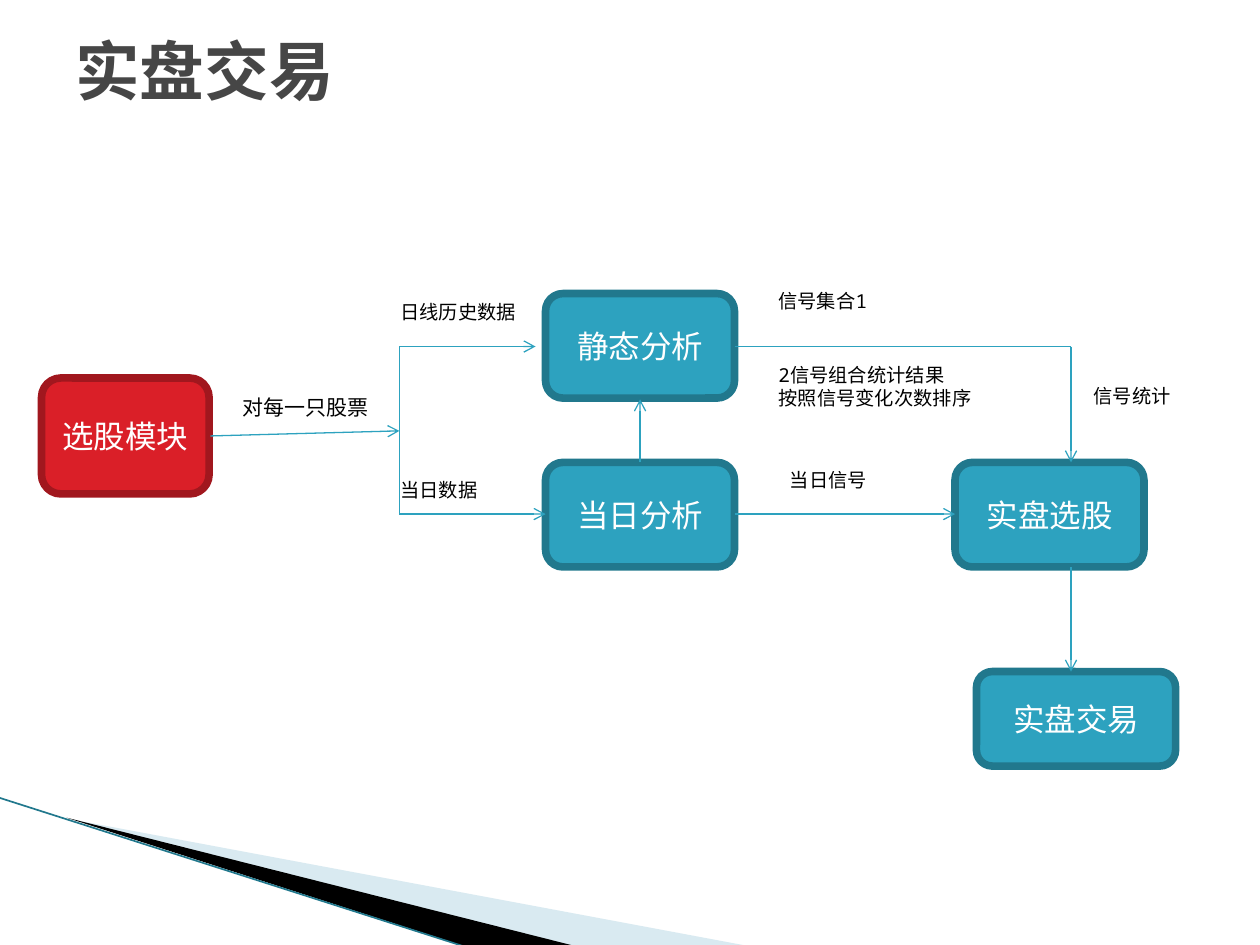
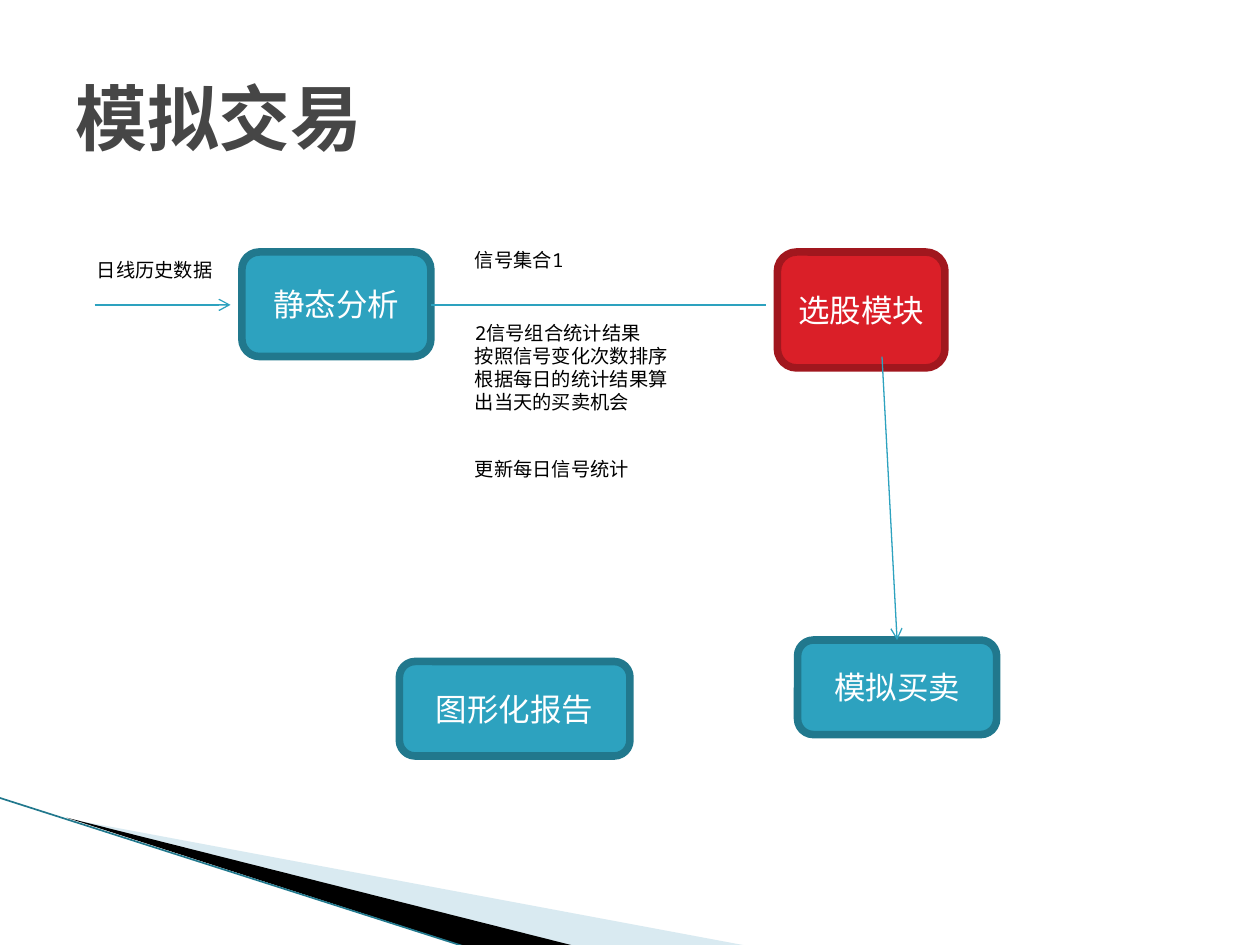
from lxml.etree import SubElement
from pptx import Presentation
from pptx.dml.color import RGBColor
from pptx.enum.shapes import MSO_CONNECTOR, MSO_SHAPE
from pptx.enum.text import MSO_ANCHOR, PP_ALIGN
from pptx.oxml.ns import qn
from pptx.util import Inches, Pt

FONT = "Noto Sans Mono"
HUES = {"teal": "2DA2BF", "rim": "21788D", "red": "DA1F28", "wine": "A1171E",
        "pale": "A0CBDC", "black": "000000", "white": "FFFFFF", "title": "464646"}
KINDS = {"step": ("teal", "rim"), "pick": ("red", "wine")}

# Bands at the foot of every slide: points, colour, opacity in percent
BANDS = [
    ([(0.55, 6.5), (5.95, 7.51), (4.56, 7.51)], "pale", 40),
    ([(0.53, 6.49), (4.57, 7.51), (3.72, 7.52)], "black", 100),
]
EDGE = (-0.01, 6.33, 3.71, 7.52)

# Boxes: text, kind, left, top, width, height
# Labels: lines, left, top, width, size
# Lines: x1, y1, x2, y2, arrow
SLIDES = [
    {
        "title": ("实盘交易", 0.62, 36.9, 0.8),
        "boxes": [
            ("静态分析", "step", 4.33, 2.33, 1.5, 0.83),
            ("当日分析", "step", 4.33, 3.67, 1.5, 0.83),
            ("选股模块", "pick", 0.33, 3, 1.33, 0.92),
            ("实盘选股", "step", 7.58, 3.67, 1.5, 0.83),
            ("实盘交易", "step", 7.75, 5.33, 1.58, 0.75),
        ],
        "labels": [
            (["日线历史数据"], 3.08, 2.33, 1.17, 11),
            (["信号集合1 "], 6.08, 2.25, 1.67, 11),
            (["2信号组合统计结果", "按照信号变化次数排序"], 6.08, 2.83, 1.75, 11),
            (["当日数据"], 3.08, 3.75, 1.17, 11),
            (["对每一只股票"], 1.83, 3.08, 1.25, 12),
            (["当日信号"], 6.17, 3.67, 1.25, 11),
            (["信号统计"], 8.58, 3, 1.08, 11),
        ],
        "lines": [
            (3.17, 2.75, 4.25, 2.75, True),
            (3.17, 4.08, 4.33, 4.08, True),
            (3.17, 2.75, 3.17, 4.08, False),
            (1.67, 3.46, 3.17, 3.42, True),
            (5.08, 3.67, 5.08, 3.17, True),
            (5.83, 2.75, 8.5, 2.75, False),
            (8.5, 2.75, 8.5, 3.67, True),
            (5.83, 4.08, 7.58, 4.08, True),
            (8.5, 4.5, 8.5, 5.33, True),
        ],
    },
    {
        "title": ("模拟交易", 1.25, 41, 1.0),
        "boxes": [
            ("静态分析", "step", 1.92, 2, 1.5, 0.83),
            ("选股模块", "pick", 6.17, 2, 1.33, 0.92),
            ("模拟买卖", "step", 6.33, 5.08, 1.58, 0.75),
            ("图形化报告", "step", 3.17, 5.25, 1.83, 0.75),
        ],
        "labels": [
            (["日线历史数据"], 0.67, 2, 1.17, 11),
            (["信号集合1 "], 3.67, 1.92, 1.67, 11),
            (["2信号组合统计结果", "按照信号变化次数排序",
              "根据每日的统计结果算出当天的买卖机会"], 3.67, 2.5, 1.75, 11),
            (["更新每日信号统计"], 3.67, 3.58, 1.58, 11),
        ],
        "lines": [
            (0.75, 2.42, 1.83, 2.42, True),
            (3.42, 2.42, 6.08, 2.42, False),
            (7, 2.83, 7.12, 5.08, True),
        ],
    },
]


def hue(name):
    return RGBColor.from_string(HUES[name])


def place(*nums):
    return [Inches(n) for n in nums]


def write(shape, lines, size, tint, bold=False, align=PP_ALIGN.LEFT, space=None):
    frame = shape.text_frame
    frame.word_wrap = True
    frame.text = "\n".join(lines)
    for para in frame.paragraphs:
        para.alignment = align
        para.line_spacing = space
        for run in para.runs:
            font = run.font
            font.name, font.size, font.bold = FONT, Pt(size), bold
            font.color.rgb = hue(tint)
            SubElement(run._r.get_or_add_rPr(), qn("a:ea"), typeface=FONT)
    return frame


def add_line(slide, ends, tint, width, arrow=False):
    line = slide.shapes.add_connector(MSO_CONNECTOR.STRAIGHT, *place(*ends))
    line.line.color.rgb = hue(tint)
    line.line.width = Pt(width)
    if arrow:
        SubElement(line.line._get_or_add_ln(), qn("a:tailEnd"), type="arrow")
    SubElement(line._element.spPr, qn("a:effectLst"))


def add_bands(slide):
    for points, tint, alpha in BANDS:
        first, *rest = [place(*point) for point in points]
        path = slide.shapes.build_freeform(*first)
        path.add_line_segments(rest, close=True)
        band = path.convert_to_shape()
        band.shadow.inherit = False
        band.fill.solid()
        band.fill.fore_color.rgb = hue(tint)
        band.line.fill.background()
        if alpha < 100:
            color = band._element.spPr.find(".//" + qn("a:srgbClr"))
            SubElement(color, qn("a:alpha"), val=str(alpha * 1000))
    add_line(slide, EDGE, "rim", 0.95)


def add_title(slide, text, height, size, space):
    box = slide.shapes.add_textbox(*place(0.5, 0.3, 9, height))
    frame = write(box, [text], size, "title", bold=True, space=space)
    frame.vertical_anchor = MSO_ANCHOR.MIDDLE


def add_box(slide, text, kind, *spot):
    box = slide.shapes.add_shape(MSO_SHAPE.ROUNDED_RECTANGLE, *place(*spot))
    fill, rim = KINDS[kind]
    box.shadow.inherit = False
    box.fill.solid()
    box.fill.fore_color.rgb = hue(fill)
    box.line.color.rgb = hue(rim)
    box.line.width = Pt(4.33)
    frame = write(box, [text], 18, "white", align=PP_ALIGN.CENTER)
    frame.vertical_anchor = MSO_ANCHOR.MIDDLE


def add_label(slide, lines, left, top, width, size):
    height = 0.1 + 0.19 * len(lines)
    box = slide.shapes.add_textbox(*place(left, top, width, height))
    write(box, lines, size, "black")


deck = Presentation()
deck.slide_width, deck.slide_height = place(10, 7.5)
for page in SLIDES:
    slide = deck.slides.add_slide(deck.slide_layouts[6])
    add_bands(slide)
    add_title(slide, *page["title"])
    for box in page["boxes"]:
        add_box(slide, *box)
    for *ends, arrow in page["lines"]:
        add_line(slide, ends, "teal", 0.75, arrow)
    for label in page["labels"]:
        add_label(slide, *label)
deck.save("out.pptx")
